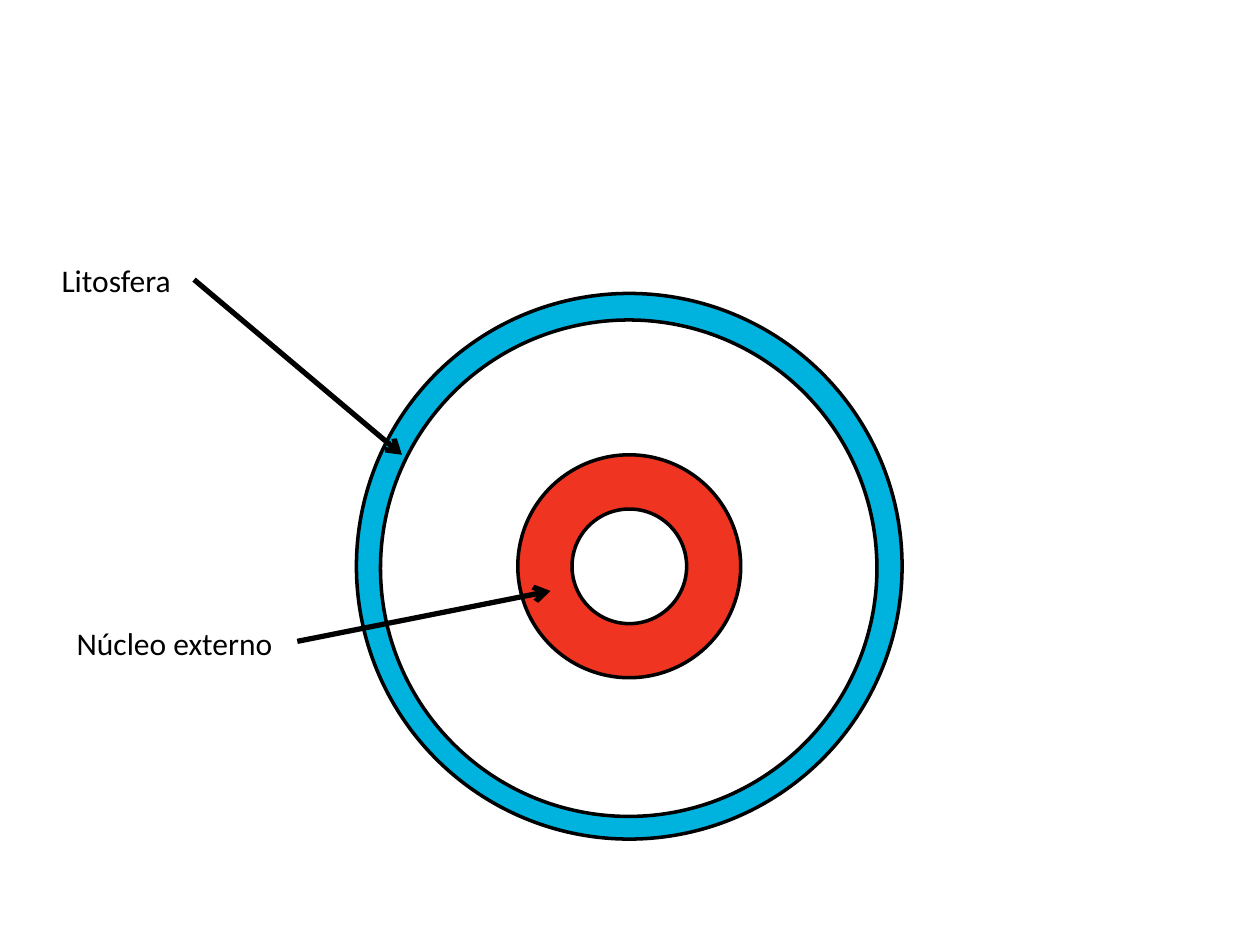
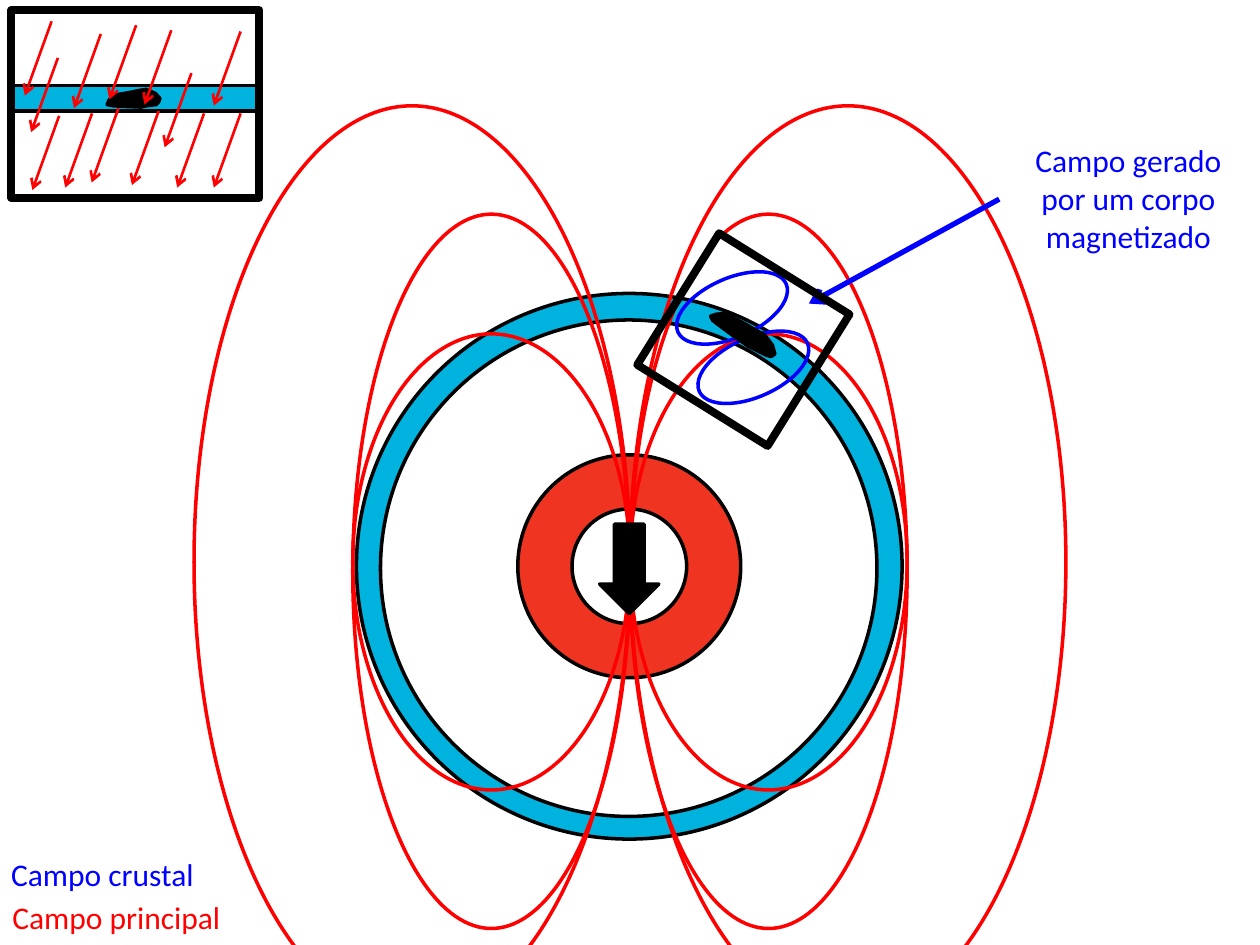
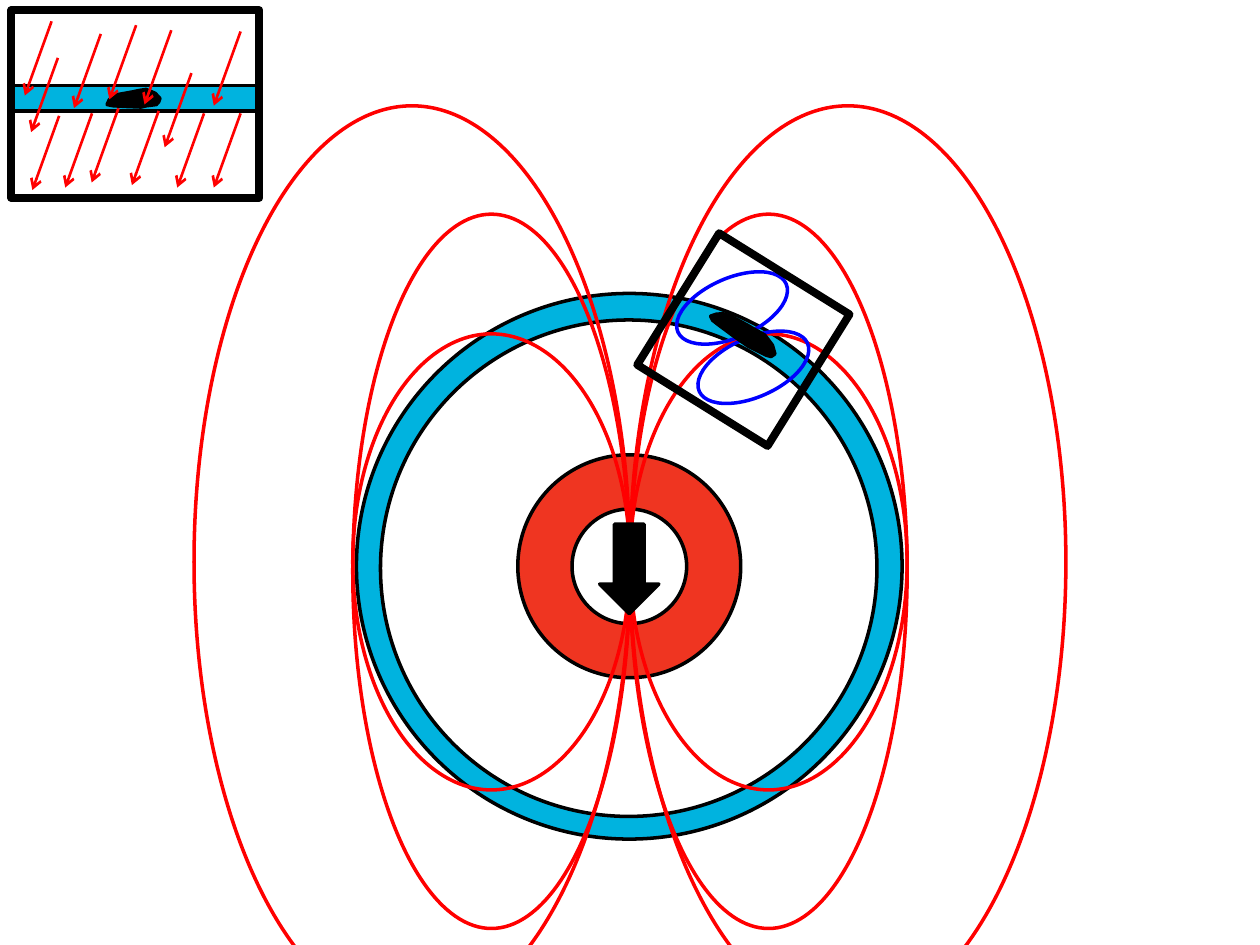
from dataclasses import dataclass
from typing import Optional

from pptx import Presentation
from pptx import util as u
from pptx.dml.color import RGBColor
from pptx.enum import shapes, text
from pptx.oxml import ns, xmlchemy
from pptx.slide import Slide

BLACK = RGBColor(0x00, 0x00, 0x00)
WHITE = RGBColor(0xFF, 0xFF, 0xFF)
CRUST = RGBColor(0x00, 0xB3, 0xDF)
CORE = RGBColor(0xEF, 0x35, 0x21)
MAIN = RGBColor(0xFF, 0x00, 0x00)
CRUSTAL = RGBColor(0x00, 0x00, 0xFF)
FONT = "Calibri"

OVAL = shapes.MSO_SHAPE.OVAL
RECT = shapes.MSO_SHAPE.RECTANGLE
DOWN = shapes.MSO_SHAPE.DOWN_ARROW


@dataclass(frozen=True)
class Figure:
    kind: shapes.MSO_SHAPE
    left: float
    top: float
    width: float
    height: float
    fill: Optional[RGBColor] = None
    line: RGBColor = BLACK
    weight: float = 2
    rotation: float = 0


@dataclass(frozen=True)
class Arrow:
    x1: float
    y1: float
    x2: float
    y2: float
    color: RGBColor = BLACK
    weight: float = 3


def circle(cx: float, cy: float, size: float, fill: RGBColor) -> Figure:
    return Figure(OVAL, cx - size / 2, cy - size / 2, size, size, fill)


def lobe(left: float, top: float) -> Figure:
    return Figure(OVAL, left, top, 67.7, 33.8, line=CRUSTAL, rotation=336)


EARTH = [
    circle(359.6, 323.6, 311.8, CRUST),
    circle(359.3, 324.7, 283.7, WHITE),
    circle(359.6, 323.6, 127.4, CORE),
    circle(359.6, 323.6, 65.5, WHITE),
]
AXIS = 360
FIELD_LOOPS = [(122.4, 158.4, 408.2), (190.8, 158.4, 260.6), (60.5, 249.1, 521.3)]
MAIN_FIELD = [
    Figure(OVAL, left, top, width, height, line=MAIN)
    for top, width, height in FIELD_LOOPS
    for left in (AXIS, AXIS - width)
]
DIPOLE = Figure(DOWN, 342.7, 299.5, 33.8, 51.1, BLACK)
LOBES = [lobe(384.5, 159.1), lobe(396.7, 193)]
BODY_FRAME = Figure(RECT, 380.9, 149.8, 87.8, 88.6, weight=4.5, rotation=31.9)
BODY = [
    (406.1, 180.7), (409.3, 179.6), (413.3, 179.3), (417.6, 180.7), (427, 185.8),
    (430.6, 187.9), (437, 191.5), (441.4, 197.3), (442.8, 202.3), (440.6, 203.8),
    (437.8, 203), (430.6, 199.4), (427.7, 198), (418.7, 191.7), (409.7, 185), (407.2, 183),
]

INSET = [
    Figure(RECT, 5.8, 49, 141.8, 14.4, CRUST),
    Figure(RECT, 6.5, 5.8, 141.8, 107.3, weight=4.5),
]
INSET_BODY = [
    (61.2, 59.8), (62.5, 57), (64.8, 54.7), (67.7, 54), (75.6, 52.6), (79.2, 51.8),
    (83.5, 51.1), (88.6, 53.3), (91.4, 56.2), (90.7, 58.3), (89.3, 59.8), (83.5, 60.5),
    (80.6, 61.2), (72.5, 60.9), (64.8, 60.5),
]
FIELD_STEP = (-15.3, 42.4)
STARTS_UNDER_BODY = [
    (29.5, 12.2), (57.6, 19.4), (109.4, 41.8), (116.6, 64.8), (137.5, 64.8),
    (137.5, 18), (33.1, 33.1), (52.6, 64.8), (33.8, 66.2),
]
STARTS_OVER_BODY = [(77.8, 14.4), (67.7, 61.9), (97.9, 17.3), (90.7, 63.4)]


def set_format(sp, fill: Optional[RGBColor], line: RGBColor, weight: float) -> None:
    sp.shadow.inherit = False
    if fill is None:
        sp.fill.background()
    else:
        sp.fill.solid()
        sp.fill.fore_color.rgb = fill
    sp.line.color.rgb = line
    sp.line.width = u.Pt(weight)


def add_figures(s: Slide, *figures: Figure) -> None:
    for f in figures:
        sp = s.shapes.add_shape(
            f.kind, u.Pt(f.left), u.Pt(f.top), u.Pt(f.width), u.Pt(f.height)
        )
        sp.rotation = f.rotation
        set_format(sp, f.fill, f.line, f.weight)


def add_body(s: Slide, outline: list[tuple[float, float]]) -> None:
    start, *rest = [(u.Pt(x), u.Pt(y)) for x, y in outline]
    builder = s.shapes.build_freeform(*start)
    builder.add_line_segments(rest, close=True)
    set_format(builder.convert_to_shape(), BLACK, BLACK, 2)


def add_arrow(s: Slide, a: Arrow) -> None:
    sp = s.shapes.add_connector(
        shapes.MSO_CONNECTOR.STRAIGHT, u.Pt(a.x1), u.Pt(a.y1), u.Pt(a.x2), u.Pt(a.y2)
    )
    sp.line.color.rgb = a.color
    sp.line.width = u.Pt(a.weight)
    head = xmlchemy.OxmlElement("a:tailEnd")
    head.set("type", "arrow")
    sp.line._get_or_add_ln().append(head)
    props = sp._element.find(ns.qn("p:spPr"))
    props.append(xmlchemy.OxmlElement("a:effectLst"))


def add_label(
    s: Slide,
    content: str,
    *,
    left: float,
    top: float,
    width: float,
    height: float = 29,
    color: RGBColor = BLACK,
    align: text.PP_ALIGN = text.PP_ALIGN.LEFT,
) -> None:
    sp = s.shapes.add_textbox(u.Pt(left), u.Pt(top), u.Pt(width), u.Pt(height))
    tf = sp.text_frame
    tf.word_wrap = True
    tf.auto_size = text.MSO_AUTO_SIZE.SHAPE_TO_FIT_TEXT
    p = tf.paragraphs[0]
    p.alignment = align
    r = p.add_run()
    r.text = content
    r.font.name = FONT
    r.font.size = u.Pt(18)
    r.font.color.rgb = color


def add_inset_field(s: Slide, starts: list[tuple[float, float]]) -> None:
    dx, dy = FIELD_STEP
    for x, y in starts:
        add_arrow(s, Arrow(x, y, x + dx, y + dy, MAIN, 1.5))


def add_callout(s: Slide) -> None:
    add_arrow(s, Arrow(571, 113.8, 462.2, 173.5, CRUSTAL))
    add_label(
        s, "Campo gerado por um corpo magnetizado", left=571, top=77, width=147.6,
        height=72.7, color=CRUSTAL, align=text.PP_ALIGN.CENTER,
    )


def add_legend(s: Slide) -> None:
    add_label(s, "Campo principal", left=0, top=509.8, width=184.3, color=MAIN)
    add_label(s, "Campo crustal", left=-0.7, top=485.3, width=184.3, color=CRUSTAL)


def build_layers(s: Slide) -> None:
    add_figures(s, *EARTH)
    add_label(s, "Núcleo externo", left=36.7, top=352.8, width=130.3)
    add_arrow(s, Arrow(169.9, 366.5, 314.6, 337.7))
    add_label(s, "Litosfera", left=28.1, top=145.4, width=141.8)
    add_arrow(s, Arrow(110.9, 159.8, 229.7, 259.9))


def build_fields(s: Slide, labelled: bool) -> None:
    add_figures(s, *INSET, *EARTH, *MAIN_FIELD, DIPOLE, *LOBES)
    if labelled:
        add_callout(s)
        add_legend(s)
    add_body(s, BODY)
    add_figures(s, BODY_FRAME)
    add_inset_field(s, STARTS_UNDER_BODY)
    add_body(s, INSET_BODY)
    add_inset_field(s, STARTS_OVER_BODY)


def main() -> None:
    prs = Presentation()
    prs.slide_width, prs.slide_height = u.Pt(720), u.Pt(540)
    layers, labelled, plain = [
        prs.slides.add_slide(prs.slide_layouts[6]) for _ in range(3)
    ]
    build_layers(layers)
    build_fields(labelled, labelled=True)
    build_fields(plain, labelled=False)
    prs.save("out.pptx")


if __name__ == "__main__":
    main()
